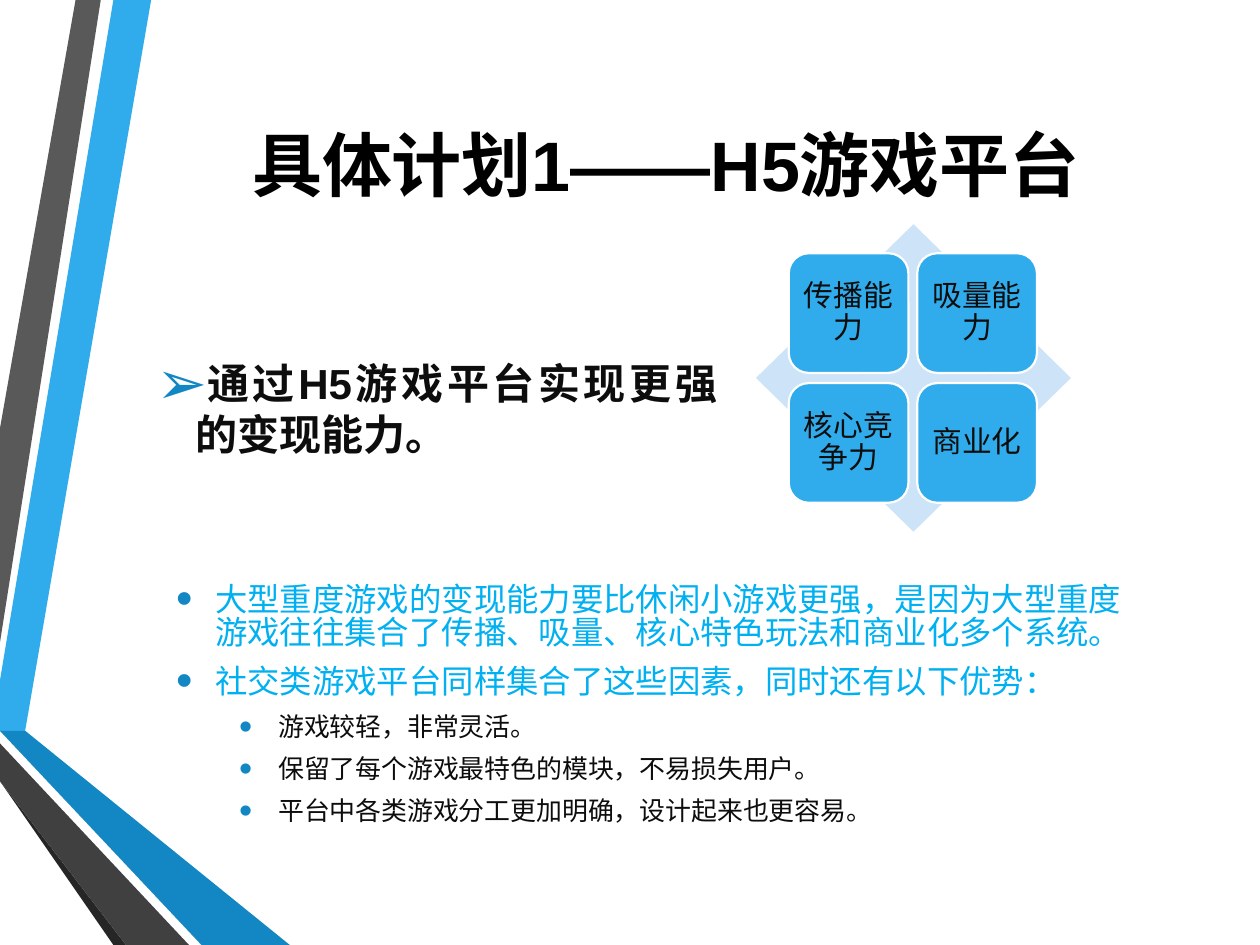
from lxml import etree
from pptx import Presentation
from pptx import util as u
from pptx.dml.color import RGBColor
from pptx.enum import shapes, text
from pptx.oxml.ns import qn

SKY = RGBColor(0x30, 0xAC, 0xEC)
BLUE = RGBColor(0x12, 0x87, 0xC3)
DEEP_BLUE = RGBColor(0x0C, 0x5A, 0x82)
CYAN = RGBColor(0x00, 0xB0, 0xF0)
PALE = RGBColor(0xCD, 0xE3, 0xF8)
GREY = RGBColor(0x59, 0x59, 0x59)
DARK_GREY = RGBColor(0x40, 0x40, 0x40)
CHARCOAL = RGBColor(0x26, 0x26, 0x26)
INK = RGBColor(0x0D, 0x0D, 0x0D)
BLACK = RGBColor(0, 0, 0)
WHITE = RGBColor(255, 255, 255)

COLUMNS, ROWS = 100, 75
CENTER, JUSTIFY = text.PP_ALIGN.CENTER, text.PP_ALIGN.JUSTIFY


class SlideBuilder:
    """Places elements on a grid of 100 columns by 75 rows."""

    def __init__(self, deck):
        self.page = deck.slides.add_slide(deck.slide_layouts[5])
        self.column = deck.slide_width / COLUMNS
        self.row = deck.slide_height / ROWS

    def area(self, left, top, width, height):
        return [round(left * self.column), round(top * self.row),
                round(width * self.column), round(height * self.row)]

    def paint(self, shape, fill, line=None):
        shape.shadow.inherit = False
        shape.fill.solid()
        shape.fill.fore_color.rgb = fill
        if line is None:
            shape.line.fill.background()
        else:
            shape.line.color.rgb = line
            shape.line.width = u.Pt(1.25)

    def band(self, points, fill):
        start, *rest = points
        pen = self.page.shapes.build_freeform(*start, scale=(self.column, self.row))
        pen.add_line_segments(rest, close=True)
        self.paint(pen.convert_to_shape(), fill)

    def preset(self, kind, place, fill, line=None):
        shape = self.page.shapes.add_shape(kind, *self.area(*place))
        self.paint(shape, fill, line)
        return shape

    def frame(self, shape, inset=None):
        frame = shape.text_frame
        settings = {"word_wrap": True, "vertical_anchor": text.MSO_ANCHOR.MIDDLE}
        if inset is not None:
            for side in ("left", "right", "top", "bottom"):
                settings[f"margin_{side}"] = u.Inches(inset)
        for name, value in settings.items():
            setattr(frame, name, value)
        return frame

    def add_words(self, para, words, color, font, east, layout):
        for name, value in layout.items():
            setattr(para, name, value)
        span = para.add_run()
        span.text = words
        for name, value in font.items():
            setattr(span.font, name, value)
        span.font.color.rgb = color
        etree.SubElement(span.font._element, qn("a:ea"), typeface=east)

    def bullet(self, para, mark, indent):
        props = para._p.get_or_add_pPr()
        props.set("marL", str(u.Inches(indent)))
        props.set("indent", str(-u.Inches(0.31)))
        tint = etree.SubElement(props, qn("a:buClr"))
        etree.SubElement(tint, qn("a:srgbClr"), val=str(BLUE))
        etree.SubElement(props, qn("a:buSzPct"), val="145000")
        etree.SubElement(props, qn("a:buFont"), typeface="Arial")
        etree.SubElement(props, qn("a:buChar"), char=mark)

    def title(self, words, place):
        holder = self.page.shapes.title
        holder.left, holder.top, holder.width, holder.height = self.area(*place)
        self.add_words(self.frame(holder).paragraphs[0], words, BLACK,
                       {"size": u.Pt(40), "bold": True, "name": "Arial"}, "Arial",
                       {"alignment": CENTER})

    def bullets(self, place, items, mark, font, east, **layout):
        box = self.page.shapes.add_textbox(*self.area(*place))
        frame = self.frame(box)
        for number, (words, size, color, level) in enumerate(items):
            para = frame.add_paragraph() if number else frame.paragraphs[0]
            spacing = {"space_before": u.Pt(3), "space_after": u.Pt(6), "level": level}
            self.add_words(para, words, color, {**font, "size": u.Pt(size)}, east,
                           {**spacing, **layout})
            self.bullet(para, mark, 0.31 + 0.5 * level)

    def tile(self, words, place):
        shape = self.preset(shapes.MSO_SHAPE.ROUNDED_RECTANGLE, place, SKY, WHITE)
        self.add_words(self.frame(shape, 0.07).paragraphs[0], words, INK,
                       {"size": u.Pt(17), "name": "Cabin"}, "Cabin",
                       {"alignment": CENTER, "line_spacing": 0.9})


def main():
    deck = Presentation()
    deck.slide_width, deck.slide_height = u.Inches(10), u.Inches(7.5)
    slide = SlideBuilder(deck)

    # Folded ribbons on the left edge
    slide.band([(0, 54.4), (0, 57.5), (2.2, 57.9), (11.7, 0), (8.9, 0)], SKY)
    slide.band([(8.3, 0), (5.5, 0), (0, 33.6), (0, 50.6)], GREY)
    slide.band([(0, 61.9), (0, 62.1), (9.3, 75), (9.9, 75)], CHARCOAL)
    slide.band([(0, 57.9), (0, 58), (15.6, 75), (16.3, 75)], DEEP_BLUE)
    slide.band([(0, 57.9), (16.3, 75), (23.3, 75), (2.2, 57.9), (0, 57.5)], BLUE)
    slide.band([(0, 61.9), (9.9, 75), (15.1, 75), (0, 58.6)], DARK_GREY)

    # Title
    slide.title("具体计划1——H5游戏平台", (10.7, 5, 84.3, 16))

    # Reasons and advantages
    main_style, sub_style = (18.5, CYAN, 0), (14.8, INK, 1)
    slide.bullets((13, 43.8, 77.2, 24.4), [
        ("大型重度游戏的变现能力要比休闲小游戏更强，是因为大型重度游戏往往集合了"
         "传播、吸量、核心特色玩法和商业化多个系统。", *main_style),
        ("社交类游戏平台同样集合了这些因素，同时还有以下优势：", *main_style),
        ("游戏较轻，非常灵活。", *sub_style),
        ("保留了每个游戏最特色的模块，不易损失用户。", *sub_style),
        ("平台中各类游戏分工更加明确，设计起来也更容易。", *sub_style),
    ], "•", {"name": "Noto Sans CJK SC"}, "Noto Sans CJK SC", line_spacing=0.85)

    # Matrix of four abilities on a diamond
    slide.preset(shapes.MSO_SHAPE.DIAMOND, (60, 17.8, 25, 24.4), PALE)
    for number, ability in enumerate(["传播能力", "吸量能力", "核心竞争力", "商业化"]):
        row, column = divmod(number, 2)
        slide.tile(ability, (62.6 + 10.2 * column, 20.1 + 10.3 * row, 9.5, 9.5))

    # Key statement
    slide.bullets((11.4, 21, 46.5, 22.8),
                  [("通过H5游戏平台实现更强的变现能力。", 24, INK, 0)],
                  "➢", {"name": "Arial", "bold": True}, "Cabin", alignment=JUSTIFY)

    deck.save("out.pptx")


if __name__ == "__main__":
    main()
